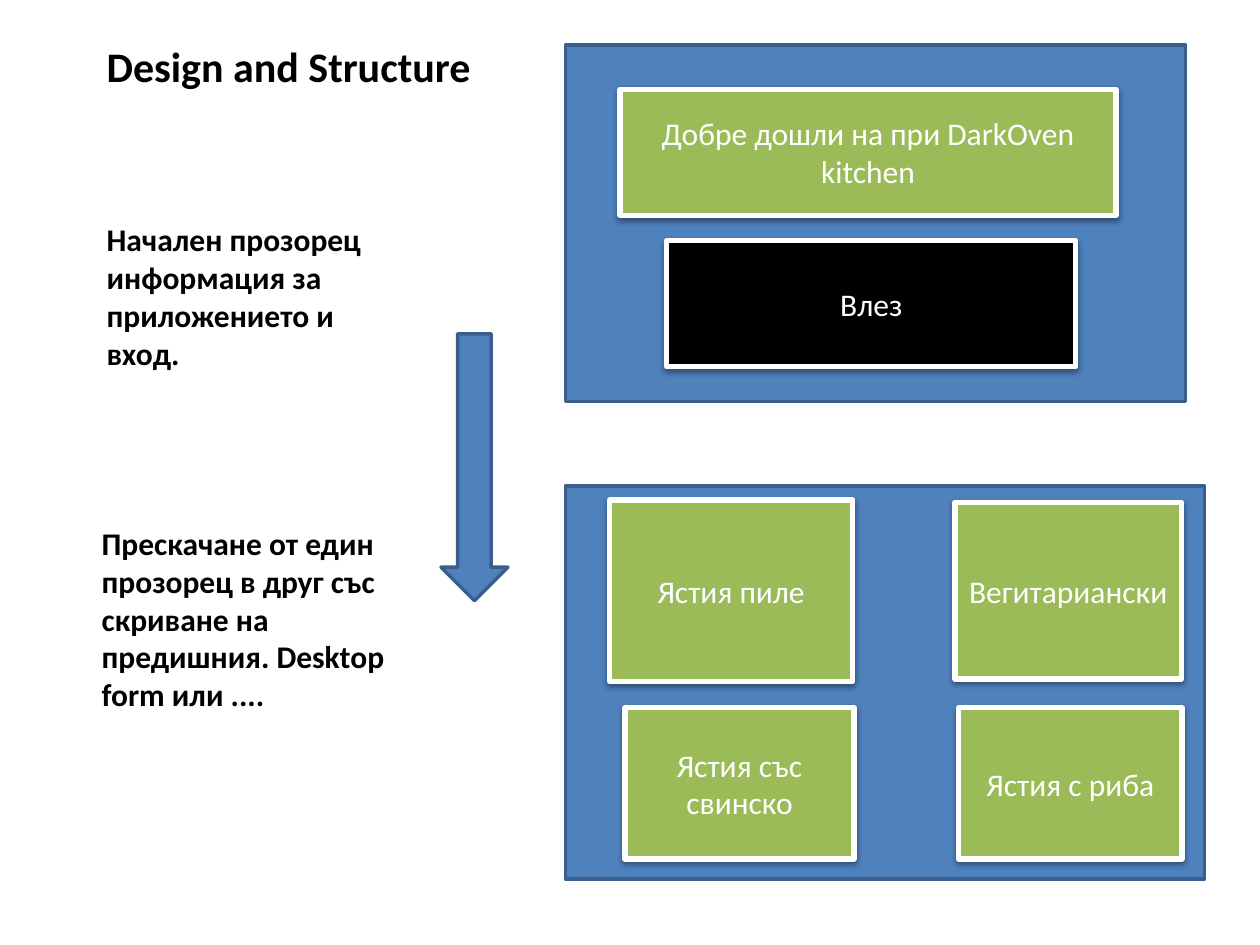
from lxml.etree import SubElement
from pptx import Presentation
from pptx.dml.color import RGBColor
from pptx.enum.shapes import MSO_SHAPE as Shape
from pptx.enum.text import MSO_ANCHOR as Anchor, MSO_AUTO_SIZE as AutoSize, PP_ALIGN as Align
from pptx.oxml.ns import qn
from pptx.util import Cm, Pt

BLUE, NAVY, GREEN = "4F81BD", "3A5F8C", "9BBB59"
BLACK, WHITE = "000000", "FFFFFF"


def color(hex_code):
    return RGBColor.from_string(hex_code)


def write(frame, words, size=18, ink=BLACK, bold=False, align=Align.LEFT):
    frame.word_wrap = True
    paragraph = frame.paragraphs[0]
    paragraph.text = words
    paragraph.alignment = align
    font_format = {"name": "Calibri", "size": Pt(size), "bold": bold}
    for run in paragraph.runs:
        for attribute, value in font_format.items():
            setattr(run.font, attribute, value)
        run.font.color.rgb = color(ink)


def add_block(slide, kind, box, fill, outline, weight):
    block = slide.shapes.add_shape(kind, *map(Cm, box))
    block.shadow.inherit = False
    block.fill.solid()
    block.fill.fore_color.rgb = color(fill)
    block.line.color.rgb = color(outline)
    block.line.width = Pt(weight)
    return block


def add_soft_shadow(block):
    effects = block._element.spPr.find(qn("a:effectLst"))
    shadow = SubElement(effects, qn("a:outerShdw"), blurRad="40000",
                        dist="20000", dir="5400000", rotWithShape="0")
    tint = SubElement(shadow, qn("a:srgbClr"), val=BLACK)
    SubElement(tint, qn("a:alpha"), val="38000")


def add_button(slide, box, label, fill):
    button = add_block(slide, Shape.RECTANGLE, box, fill, WHITE, 3)
    add_soft_shadow(button)
    button.text_frame.vertical_anchor = Anchor.MIDDLE
    write(button.text_frame, label, ink=WHITE, align=Align.CENTER)


def add_window(slide, box, buttons):
    """Draw an app window; button offsets count from its top left corner."""
    left, top = box[:2]
    add_block(slide, Shape.RECTANGLE, box, BLUE, NAVY, 2)
    for label, fill, dx, dy, width, height in buttons:
        add_button(slide, (left + dx, top + dy, width, height), label, fill)


def add_note(slide, box, words, size=18):
    frame = slide.shapes.add_textbox(*map(Cm, box)).text_frame
    write(frame, words, size, bold=True)
    frame.auto_size = AutoSize.SHAPE_TO_FIT_TEXT


def main():
    deck = Presentation()
    deck.slide_width, deck.slide_height = Cm(25.4), Cm(19.05)
    slide = deck.slides.add_slide(deck.slide_layouts[6])

    add_note(slide, (1.9, 0.69, 8, 1.27), "Design and Structure", 24)
    add_note(slide, (1.9, 4.32, 5.8, 3.33),
             "Начален прозорец \vинформация за приложението и вход.")
    add_note(slide, (1.8, 10.44, 6.6, 4.11),
             "Прескачане от един прозорец в друг със скриване на "
             "предишния. Desktop form или ....")

    add_window(slide, (11.4, 0.91, 12.5, 7.19), [
        ("Добре дошли на при DarkOven kitchen", GREEN, 1.1, 0.89, 10, 2.54),
        ("Влез", BLACK, 2.04, 3.94, 8.25, 2.54),
    ])
    add_window(slide, (11.4, 9.8, 12.88, 7.92), [
        ("Ястия пиле", GREEN, 0.89, 0.28, 4.9, 3.66),
        ("Вегитариански", GREEN, 7.85, 0.33, 4.57, 3.56),
        ("Ястия със свинско", GREEN, 1.2, 4.47, 4.62, 3.05),
        ("Ястия с риба", GREEN, 7.93, 4.47, 4.5, 3.05),
    ])
    add_block(slide, Shape.DOWN_ARROW, (8.89, 6.73, 1.35, 5.38), BLUE, NAVY, 2)

    deck.save("out.pptx")


if __name__ == "__main__":
    main()
